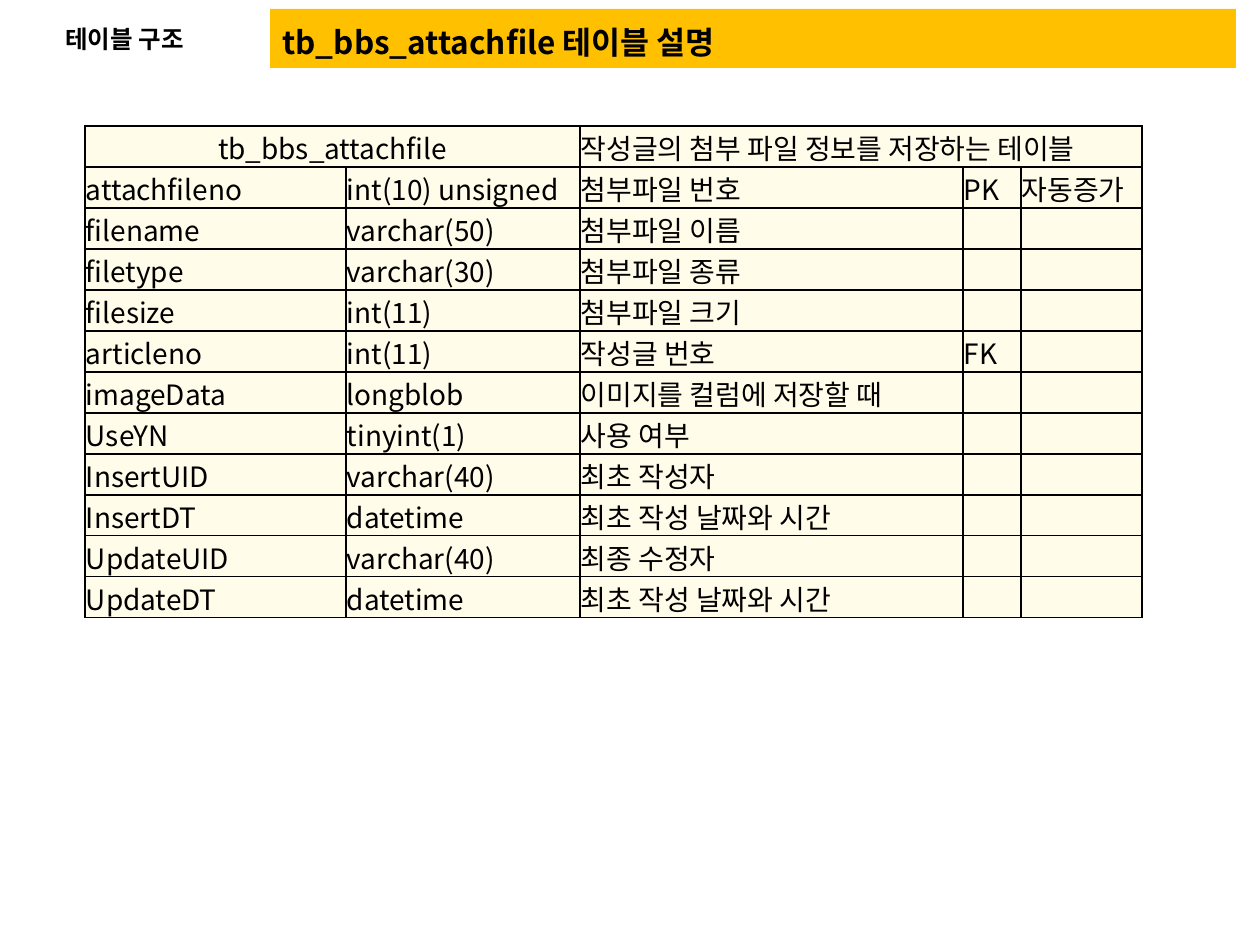
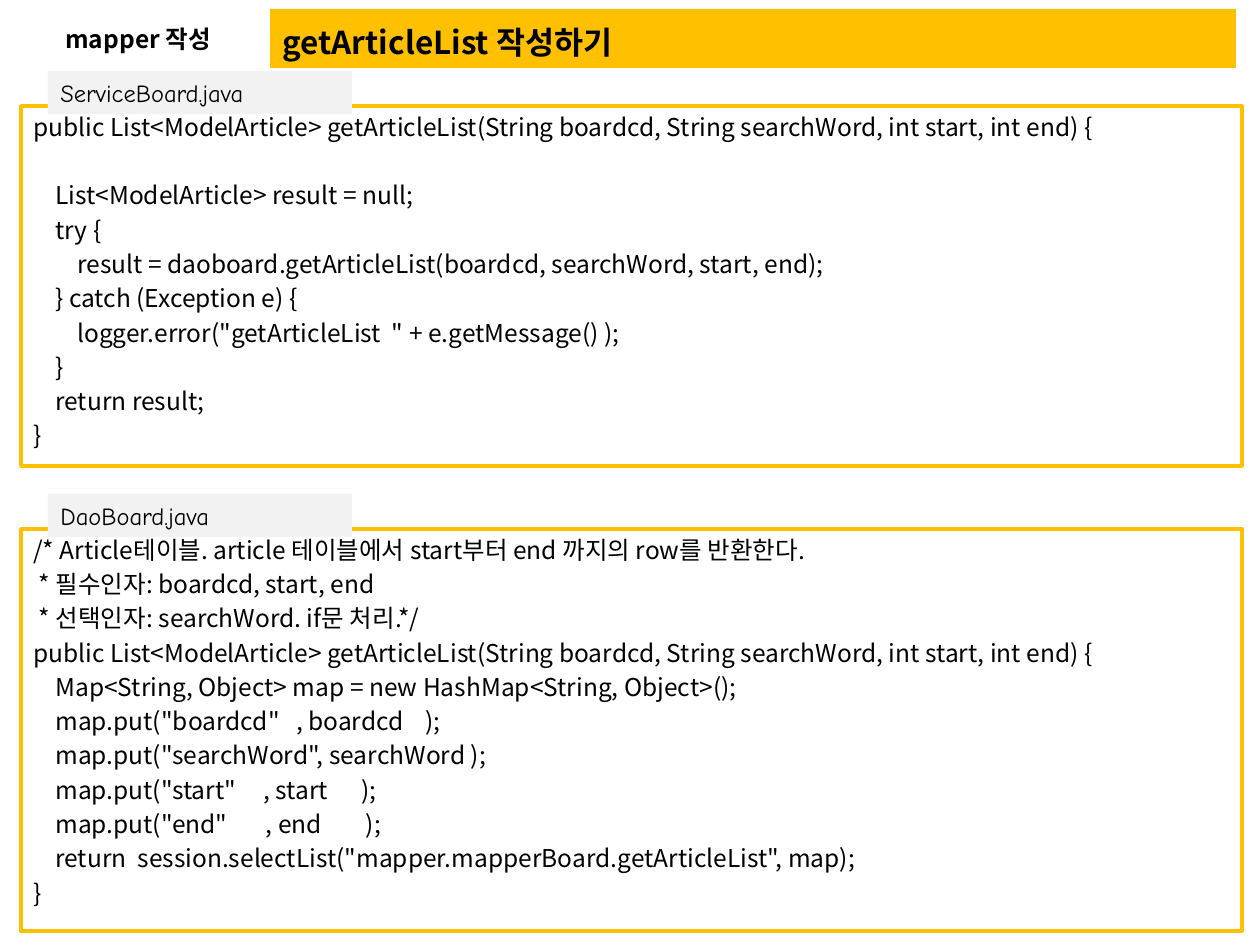
from dataclasses import dataclass

from lxml import etree
from pptx import Presentation
from pptx.dml.color import RGBColor
from pptx.enum import shapes, text
from pptx.oxml import ns
from pptx.util import Emu, Pt

PX = 914400 / 126  # EMU in one px


@dataclass(frozen=True)
class Theme:
    font: str = "Noto Sans CJK KR"
    tab_font: str = "Comic Neue"
    ink: str = "000000"
    gold: str = "FFC000"
    cream: str = "FFFCEA"
    grey: str = "F2F2F2"
    title: int = 18
    body: int = 14
    cell: int = 16
    pitch: float = 19.6


@dataclass(frozen=True)
class Box:
    x: int
    y: int
    w: int
    h: int

    def emu(self) -> list[Emu]:
        return [px(n) for n in (self.x, self.y, self.w, self.h)]


@dataclass(frozen=True)
class Code:
    name: str
    top: int
    height: int
    lines: str


THEME = Theme()
BAND = Box(270, 9, 966, 59)
TITLE = Box(270, 10, 966, 57)
LABEL = Box(53, 10, 203, 57)

# Table content: name, type, meaning, key, extra
HEAD = ("tb_bbs_attachfile", "", "작성글의 첨부 파일 정보를 저장하는 테이블")
FIELDS = [
    ("attachfileno", "int(10) unsigned", "첨부파일 번호", "PK", "자동증가"),
    ("filename", "varchar(50)", "첨부파일 이름"),
    ("filetype", "varchar(30)", "첨부파일 종류"),
    ("filesize", "int(11)", "첨부파일 크기"),
    ("articleno", "int(11)", "작성글 번호", "FK"),
    ("imageData", "longblob", "이미지를 컬럼에 저장할 때"),
    ("UseYN", "tinyint(1)", "사용 여부"),
    ("InsertUID", "varchar(40)", "최초 작성자"),
    ("InsertDT", "datetime", "최초 작성 날짜와 시간"),
    ("UpdateUID", "varchar(40)", "최종 수정자"),
    ("UpdateDT", "datetime", "최초 작성 날짜와 시간"),
]
COLS = (261, 234, 383, 58, 121)

# Code listings
DAO = Code("DaoBoard.java", 529, 402, """\
/* Article테이블. article 테이블에서 start부터 end 까지의 row를 반환한다.
 * 필수인자: boardcd, start, end
 * 선택인자: searchWord. if문 처리.*/
public List<ModelArticle> getArticleList(String boardcd, String searchWord, int start, int end) {
    Map<String, Object> map = new HashMap<String, Object>();
    map.put("boardcd"   , boardcd    );
    map.put("searchWord", searchWord );
    map.put("start"     , start      );
    map.put("end"       , end        );
    return  session.selectList("mapper.mapperBoard.getArticleList", map);
}""")
SERVICE = Code("ServiceBoard.java", 106, 360, """\
public List<ModelArticle> getArticleList(String boardcd, String searchWord, int start, int end) {
    
    List<ModelArticle> result = null;
    try {
        result = daoboard.getArticleList(boardcd, searchWord, start, end);
    } catch (Exception e) {
        logger.error("getArticleList  " + e.getMessage() );
    }
    return result;
}""")


def px(n: int) -> Emu:
    return Emu(round(n * PX))


def rgb(code: str) -> RGBColor:
    return RGBColor.from_string(code)


def style(frame, size: int, bold: bool = False, font: str = THEME.font,
          align=text.PP_ALIGN.LEFT) -> None:
    """Format every run of a text frame."""
    for para in frame.paragraphs:
        para.alignment = align
        for run in para.runs:
            run.font.size, run.font.bold = Pt(size), bold
            run.font.name = font
            run.font.color.rgb = rgb(THEME.ink)
            east = etree.SubElement(run.font._element, ns.qn("a:ea"))
            east.set("typeface", font)


def rect(slide, box: Box, fill: str = "", line: str = ""):
    shape = slide.shapes.add_shape(shapes.MSO_SHAPE.RECTANGLE, *box.emu())
    shape.shadow.inherit = False
    if fill:
        shape.fill.solid()
        shape.fill.fore_color.rgb = rgb(fill)
    else:
        shape.fill.background()
    if line:
        shape.line.color.rgb = rgb(line)
        shape.line.width = Pt(2)
    else:
        shape.line.fill.background()
    return shape


def write(slide, box: Box, words: str, size: int, anchor, align) -> None:
    frame = slide.shapes.add_textbox(*box.emu()).text_frame
    frame.word_wrap = True
    frame.vertical_anchor = anchor
    frame.text = words
    style(frame, size, bold=True, align=align)


def page(deck, label: str, title: str):
    """Add a slide with the shared title band."""
    slide = deck.slides.add_slide(deck.slide_layouts[6])
    rect(slide, BAND, THEME.gold)
    write(slide, TITLE, title, THEME.title, text.MSO_ANCHOR.BOTTOM,
          text.PP_ALIGN.JUSTIFY)
    write(slide, LABEL, label, THEME.body, text.MSO_ANCHOR.MIDDLE,
          text.PP_ALIGN.LEFT)
    return slide


def edge(cell) -> None:
    """Draw a thin line on all four sides of a cell."""
    props = cell._tc.get_or_add_tcPr()
    for i, side in enumerate(("lnL", "lnR", "lnT", "lnB")):
        line = etree.Element(ns.qn(f"a:{side}"), w=str(Pt(1)))
        fill = etree.SubElement(line, ns.qn("a:solidFill"))
        etree.SubElement(fill, ns.qn("a:srgbClr"), val=THEME.ink)
        props.insert(i, line)


def grid(slide) -> None:
    rows = [HEAD, *FIELDS]
    box = Box(85, 126, sum(COLS), 41 * len(rows))
    table = slide.shapes.add_table(len(rows), len(COLS), *box.emu()).table
    for col, width in zip(table.columns, COLS):
        col.width = px(width)
    for r, row in enumerate(rows):
        for c in range(len(COLS)):
            cell = table.cell(r, c)
            cell.margin_left = cell.margin_right = cell.margin_top = px(1)
            cell.margin_bottom = 0
            cell.vertical_anchor = text.MSO_ANCHOR.MIDDLE
            cell.fill.solid()
            cell.fill.fore_color.rgb = rgb(THEME.cream)
            edge(cell)
            frame = cell.text_frame
            if c < len(row) and row[c]:
                frame.text = row[c]
                style(frame, THEME.cell)
            else:  # keep empty cells from growing the row
                end = frame.paragraphs[0]._p.get_or_add_endParaRPr()
                end.set("sz", str(THEME.cell * 100))
    # Header spans
    table.cell(0, 0).merge(table.cell(0, 1))
    table.cell(0, 2).merge(table.cell(0, 4))
    table.cell(0, 0).text_frame.paragraphs[0].alignment = text.PP_ALIGN.CENTER


def panel(slide, code: Code) -> None:
    """Draw a framed listing."""
    box = Box(21, code.top, 1221, code.height)
    frame = rect(slide, box, line=THEME.gold).text_frame
    frame.word_wrap = True
    frame.vertical_anchor = text.MSO_ANCHOR.TOP
    frame.margin_top = px(1)
    frame.text = code.lines
    style(frame, THEME.body)
    for para in frame.paragraphs:
        para.line_spacing = Pt(THEME.pitch)


def tab(slide, code: Code) -> None:
    """Draw the file name on top of a listing."""
    frame = rect(slide, Box(48, code.top - 35, 304, 43), THEME.grey).text_frame
    frame.word_wrap = True
    frame.vertical_anchor = text.MSO_ANCHOR.MIDDLE
    frame.text = code.name
    style(frame, THEME.body, font=THEME.tab_font)


def main() -> None:
    deck = Presentation()
    deck.slide_width, deck.slide_height = px(1260), px(945)

    # Table description
    grid(page(deck, "테이블 구조", "tb_bbs_attachfile 테이블 설명"))

    # Code listings
    slide = page(deck, "mapper 작성", "getArticleList 작성하기")
    for code in (DAO, SERVICE):
        panel(slide, code)
    for code in (SERVICE, DAO):
        tab(slide, code)

    deck.save("out.pptx")


if __name__ == "__main__":
    main()
